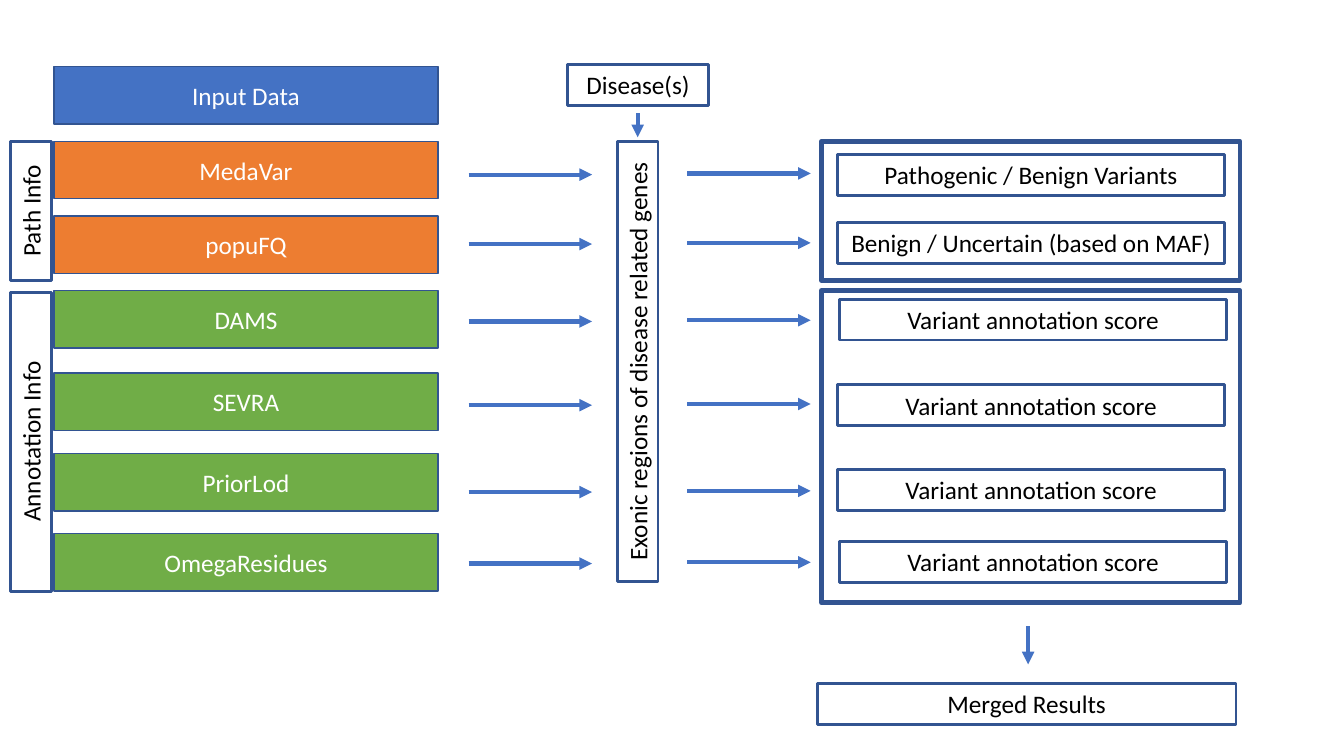
from dataclasses import dataclass

from lxml import etree
from pptx import Presentation
from pptx.dml.color import RGBColor
from pptx.enum.shapes import MSO_CONNECTOR, MSO_SHAPE
from pptx.enum.text import MSO_ANCHOR, MSO_AUTO_SIZE, PP_ALIGN
from pptx.oxml.ns import qn
from pptx.util import Cm, Pt

RECTANGLE = MSO_SHAPE.RECTANGLE
STRAIGHT = MSO_CONNECTOR.STRAIGHT
CENTER = PP_ALIGN.CENTER
BAR_TEXT = {"word_wrap": True, "vertical_anchor": MSO_ANCHOR.MIDDLE}
LABEL_TEXT = {
    "word_wrap": True,
    "vertical_anchor": MSO_ANCHOR.TOP,
    "auto_size": MSO_AUTO_SIZE.SHAPE_TO_FIT_TEXT,
}


@dataclass(frozen=True)
class Theme:
    font: str = "Calibri"
    text_size: float = 18
    blue: str = "4472C4"
    orange: str = "ED7D31"
    green: str = "70AD47"
    outline: str = "325491"
    white: str = "FFFFFF"
    black: str = "000000"
    bar_line: float = 1
    label_line: float = 2
    frame_line: float = 3.25
    arrow_line: float = 3


theme = Theme()
deck = Presentation()
deck.slide_width, deck.slide_height = Cm(33.87), Cm(19.05)
page = deck.slides.add_slide(deck.slide_layouts[6])


def add_box(left, top, width, height, line_width, text="", fill=None, rotation=0):
    """Add a rectangle; a filled one is a bar, an unfilled one a label or frame."""
    box = page.shapes.add_shape(RECTANGLE, Cm(left), Cm(top), Cm(width), Cm(height))
    box.shadow.inherit = False
    box.rotation = rotation
    box.line.color.rgb = RGBColor.from_string(theme.outline)
    box.line.width = Pt(line_width)
    if fill:
        box.fill.solid()
        box.fill.fore_color.rgb = RGBColor.from_string(fill)
    else:
        box.fill.background()
    if text:
        for name, value in (BAR_TEXT if fill else LABEL_TEXT).items():
            setattr(box.text_frame, name, value)
        para = box.text_frame.paragraphs[0]
        para.alignment = CENTER
        span = para.add_run()
        span.text = text
        for name, value in {"name": theme.font, "size": Pt(theme.text_size)}.items():
            setattr(span.font, name, value)
        span.font.color.rgb = RGBColor.from_string(theme.white if fill else theme.black)


def add_arrow(start_x, start_y, end_x, end_y):
    arrow = page.shapes.add_connector(
        STRAIGHT, Cm(start_x), Cm(start_y), Cm(end_x), Cm(end_y)
    )
    arrow.line.color.rgb = RGBColor.from_string(theme.blue)
    arrow.line.width = Pt(theme.arrow_line)
    etree.SubElement(arrow.line._get_or_add_ln(), qn("a:tailEnd"), type="triangle")
    etree.SubElement(arrow._element.spPr, qn("a:effectLst"))


LABEL_HEIGHT = 1.03

# Input data and its sources
for source, top, colour in [
    ("Input Data", 1.68, theme.blue),
    ("MedaVar", 3.56, theme.orange),
    ("popuFQ", 5.44, theme.orange),
    ("DAMS", 7.32, theme.green),
    ("SEVRA", 9.4, theme.green),
    ("PriorLod", 11.43, theme.green),
    ("OmegaResidues", 13.44, theme.green),
]:
    add_box(1.36, top, 9.68, 1.45, theme.bar_line, source, colour)

# Labels that read upwards, placed by their centres
for label, center_x, center_y, length in [
    ("Path Info", 0.78, 5.31, 3.51),
    ("Annotation Info", 0.78, 11.13, 7.54),
    ("Exonic regions of disease related genes", 16.07, 9.11, 11.1),
]:
    add_box(center_x - length / 2, center_y - LABEL_HEIGHT / 2, length, LABEL_HEIGHT,
            theme.label_line, label, rotation=270)

add_box(14.3, 1.63, 3.56, LABEL_HEIGHT, theme.label_line, "Disease(s)")
add_arrow(16.07, 2.85, 16.07, 3.46)

# Each source passes through the gene regions to its result
SCORE = "Variant annotation score"
for arrow_y, result, result_left, result_top in [
    (4.4, "Pathogenic / Benign Variants", 21.11, 3.89),
    (6.15, "Benign / Uncertain (based on MAF)", 21.11, 5.61),
    (8.1, SCORE, 21.16, 7.54),
    (10.21, SCORE, 21.11, 9.7),
    (12.4, SCORE, 21.11, 11.84),
    (14.2, SCORE, 21.16, 13.64),
]:
    add_arrow(11.81, arrow_y, 14.92, arrow_y)
    add_arrow(17.32, arrow_y - 0.03, 20.43, arrow_y - 0.03)
    add_box(result_left, result_top, 9.75, LABEL_HEIGHT, theme.label_line, result)

# Result groups and the merged outcome
for top, height in [(3.56, 3.51), (7.32, 7.87)]:
    add_box(20.7, top, 10.55, height, theme.frame_line)
add_arrow(25.91, 15.78, 25.91, 16.74)
add_box(20.6, 17.23, 10.55, LABEL_HEIGHT, theme.label_line, "Merged Results")

deck.save("out.pptx")
